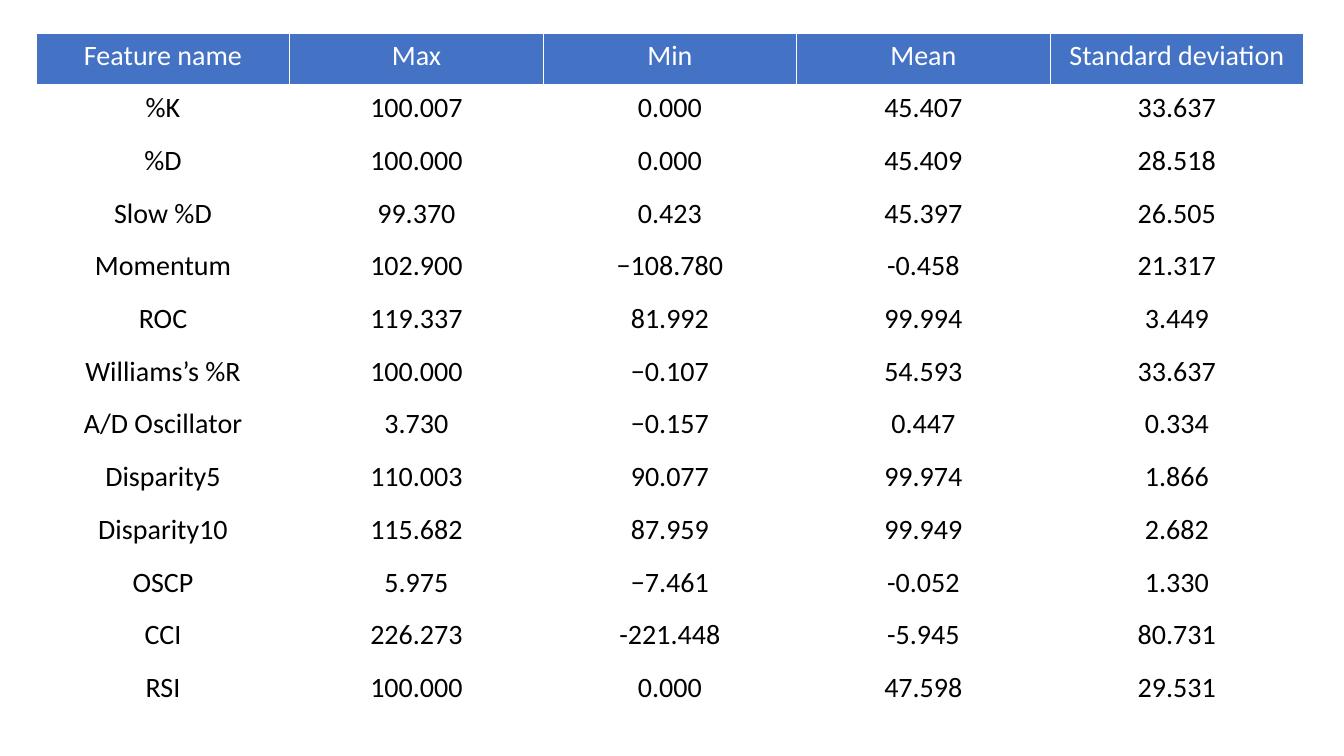
import lxml.etree
import pptx
import pptx.dml.color
import pptx.enum.text
import pptx.oxml.ns
import pptx.util

Inches = pptx.util.Inches
WHITE = pptx.dml.color.RGBColor(0xFF, 0xFF, 0xFF)
BLACK = pptx.dml.color.RGBColor(0x00, 0x00, 0x00)
BLUE = pptx.dml.color.RGBColor(0x44, 0x72, 0xC4)
FONT = {"name": "Calibri", "size": pptx.util.Pt(20), "bold": False}
HEADER_BORDERS = {"lnL": 1, "lnR": 1, "lnT": 1, "lnB": 3}

HEADERS = ["Feature name", "Max", "Min", "Mean", "Standard deviation"]
FEATURES = [
    ["%K", "100.007", "0.000", "45.407", "33.637"],
    ["%D", "100.000", "0.000", "45.409", "28.518"],
    ["Slow %D", "99.370", "0.423", "45.397", "26.505"],
    ["Momentum", "102.900", "−108.780", "-0.458", "21.317"],
    ["ROC", "119.337", "81.992", "99.994", "3.449"],
    ["Williams’s %R", "100.000", "−0.107", "54.593", "33.637"],
    ["A/D Oscillator", "3.730", "−0.157", "0.447", "0.334"],
    ["Disparity5", "110.003", "90.077", "99.974", "1.866"],
    ["Disparity10", "115.682", "87.959", "99.949", "2.682"],
    ["OSCP", "5.975", "−7.461", "-0.052", "1.330"],
    ["CCI", "226.273", "-221.448", "-5.945", "80.731"],
    ["RSI", "100.000", "0.000", "47.598", "29.531"],
]


def set_borders(cell, widths, color):
    qn = pptx.oxml.ns.qn
    tcPr = cell._tc.get_or_add_tcPr()
    for i, (side, width) in enumerate(widths.items()):
        ln = lxml.etree.Element(qn(f"a:{side}"), w=str(pptx.util.Pt(width)))
        fill = lxml.etree.SubElement(ln, qn("a:solidFill"))
        lxml.etree.SubElement(fill, qn("a:srgbClr"), val=str(color))
        tcPr.insert(i, ln)


def fill_cell(cell, text, fill, color):
    cell.fill.solid()
    cell.fill.fore_color.rgb = fill
    p = cell.text_frame.paragraphs[0]
    p.alignment = pptx.enum.text.PP_ALIGN.CENTER
    r = p.add_run()
    r.text = text
    for name, value in FONT.items():
        setattr(r.font, name, value)
    r.font.color.rgb = color


def add_feature_table(s, left, top, width, height):
    rows = [HEADERS] + FEATURES
    table = s.shapes.add_table(
        len(rows), len(HEADERS),
        Inches(left), Inches(top), Inches(width), Inches(height)).table
    table.horz_banding = False
    for column in table.columns:
        column.width = Inches(width / len(HEADERS))
    for i, values in enumerate(rows):
        table.rows[i].height = Inches(height / len(rows))
        fill, color = (WHITE, BLACK) if i else (BLUE, WHITE)
        for j, text in enumerate(values):
            cell = table.cell(i, j)
            fill_cell(cell, text, fill, color)
            if i == 0:
                set_borders(cell, HEADER_BORDERS, WHITE)


def main():
    prs = pptx.Presentation()
    prs.slide_width, prs.slide_height = Inches(13.33), Inches(7.5)
    s = prs.slides.add_slide(prs.slide_layouts[6])
    add_feature_table(s, 0.36, 0.33, 12.57, 6.8)
    prs.save("out.pptx")


if __name__ == "__main__":
    main()
